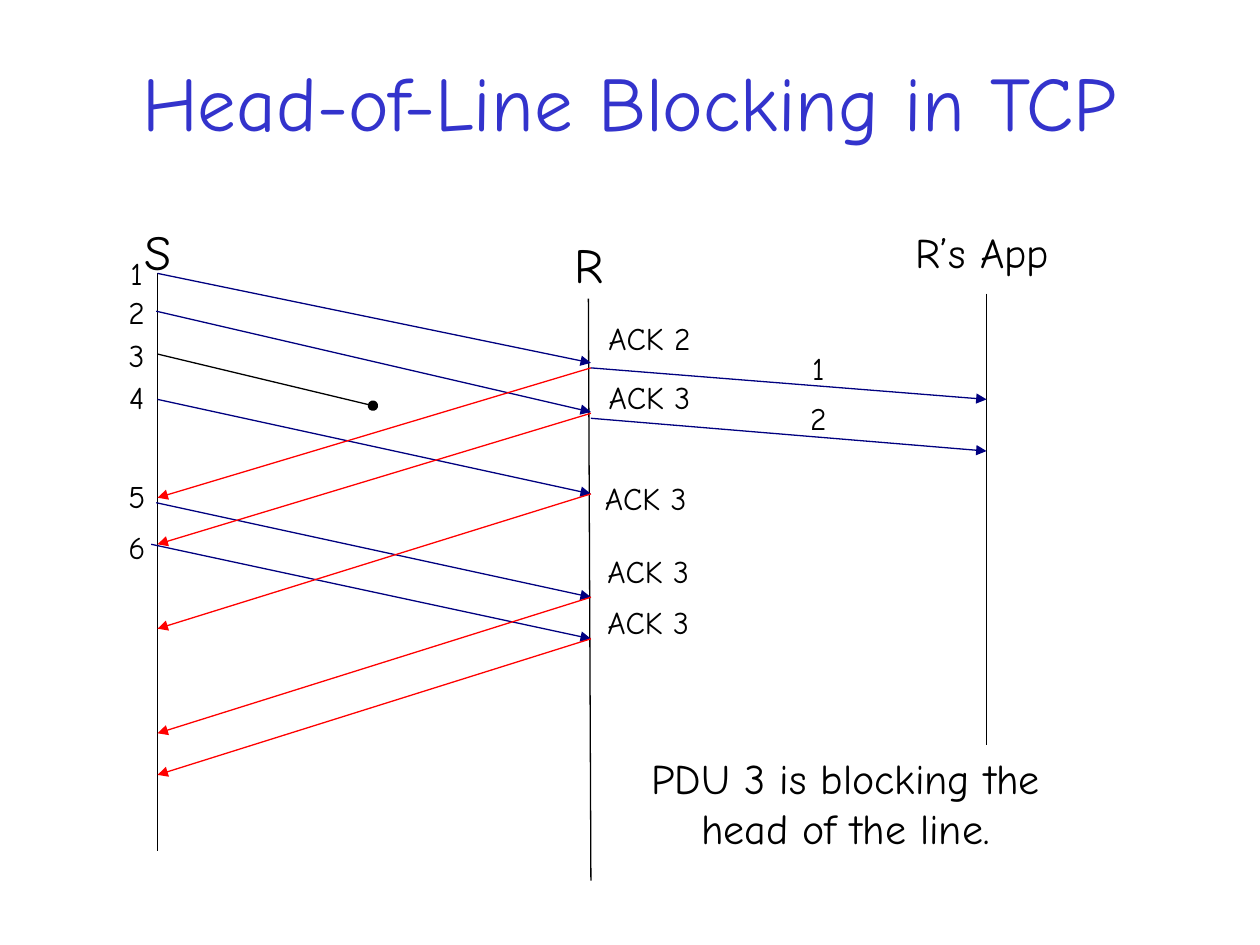
from collections import namedtuple
from dataclasses import dataclass

from lxml import etree
from pptx import Presentation
from pptx.dml.color import RGBColor as RGB
from pptx.enum.shapes import MSO_CONNECTOR as CONN
from pptx.enum.text import MSO_ANCHOR as ANCHOR, MSO_AUTO_SIZE as AUTO, PP_ALIGN as ALIGN
from pptx.oxml.ns import qn
from pptx.util import Inches, Pt

Box = namedtuple("Box", "left top width height")
Segment = namedtuple("Segment", "number label_y start_x start_y end_y")
Ack = namedtuple("Ack", "text label_x label_y start_y end_y")


@dataclass(frozen=True)
class Theme:
    """Colours, font and sizes of the slide."""
    font: str = "Comic Neue"
    title: RGB = RGB(0x33, 0x33, 0xCC)
    ink: RGB = RGB(0, 0, 0)
    data: RGB = RGB(0, 0, 0x80)
    ack: RGB = RGB(0xFF, 0, 0)
    title_size: int = 44
    host_size: int = 28
    body_size: int = 24
    label_size: int = 18
    line_width: float = 0.75


THEME = Theme()

SEGMENTS = [
    Segment("1", -0.2, 0, 0, 0.71),
    Segment("2", 0.11, -0.01, 0.3, 1.1),
    Segment("4", 0.78, 0, 1, 1.75),
    Segment("5", 1.57, -0.01, 1.82, 2.57),
    Segment("6", 1.97, -0.05, 2.15, 2.9),
]
ACKS = [
    Ack("ACK 2", 0.04, 0.31, 0.75, 1.78),
    Ack("ACK 3", 0.04, 0.78, 1.11, 2.15),
    Ack("ACK 3", 0.01, 1.58, 1.75, 2.82),
    Ack("ACK 3", 0.03, 2.16, 2.57, 3.65),
    Ack("ACK 3", 0.03, 2.57, 2.9, 3.98),
]
DELIVERIES = [("1", 0.39, 0.59, 0.84), ("2", 0.79, 0.99, 1.25)]


def add_text(slide, box, text, size, color=THEME.ink, align=ALIGN.CENTER,
             wrap=True, anchor=ANCHOR.TOP, auto=AUTO.SHAPE_TO_FIT_TEXT):
    """Add a one-run text box."""
    tf = slide.shapes.add_textbox(*map(Inches, box)).text_frame
    tf.word_wrap, tf.auto_size, tf.vertical_anchor = wrap, auto, anchor
    p = tf.paragraphs[0]
    p.alignment = align
    r = p.add_run()
    r.text = text
    r.font.name, r.font.size = THEME.font, Pt(size)
    r.font.color.rgb = color


def add_label(slide, left, top, text, width=0.33):
    """Add a small unwrapped label."""
    add_text(slide, Box(left, top, width, 0.4), text, THEME.label_size, wrap=False)


def add_line(slide, box, start, end, color=THEME.ink, tip=None):
    """Draw a line between two points given relative to the box."""
    points = [Inches(v) for x, y in (start, end) for v in (box.left + x, box.top + y)]
    s = slide.shapes.add_connector(CONN.STRAIGHT, *points)
    s.line.color.rgb, s.line.width = color, Pt(THEME.line_width)
    if tip:
        etree.SubElement(s.line._get_or_add_ln(), qn("a:tailEnd"), type=tip)
    etree.SubElement(s._element.spPr, qn("a:effectLst"))


def add_title(slide, box):
    """Add the slide title."""
    add_text(slide, box, "Head-of-Line Blocking in TCP", THEME.title_size,
             THEME.title, anchor=ANCHOR.MIDDLE, auto=AUTO.NONE)


def add_exchange(slide, box):
    """Draw the segments and ACKs between sender and receiver."""
    right, number_x = box.width, box.left - 0.33
    add_line(slide, box, (0, 0), (0, box.height - 0.24))
    add_line(slide, box, (right - 0.02, 0.2), (right, box.height))
    add_text(slide, Box(box.left - 0.21, box.top - 0.46, 0.42, 0.57), "S", THEME.host_size)
    add_text(slide, Box(box.left + right - 0.23, box.top - 0.36, 0.43, 0.57), "R",
             THEME.host_size, wrap=False)
    for seg in SEGMENTS:
        add_label(slide, number_x, box.top + seg.label_y, seg.number)
        add_line(slide, box, (seg.start_x, seg.start_y), (right, seg.end_y),
                 THEME.data, "triangle")
    add_label(slide, number_x, box.top + 0.45, "3")
    add_line(slide, box, (0, 0.64), (1.71, 1.05), tip="oval")
    for ack in ACKS:
        add_label(slide, box.left + right + ack.label_x, box.top + ack.label_y, ack.text, 0.85)
        add_line(slide, box, (right, ack.start_y), (0, ack.end_y), THEME.ack, "triangle")


def add_delivery(slide, box):
    """Draw what the receiver hands to its application."""
    right = box.width
    add_line(slide, box, (right, 0), (right, box.height))
    add_text(slide, Box(box.left + right - 0.66, box.top - 0.58, 1.58, 0.5), "R’s App",
             THEME.body_size, align=ALIGN.LEFT)
    for number, label_y, start_y, end_y in DELIVERIES:
        add_line(slide, box, (0, start_y), (right, end_y), THEME.data, "triangle")
        add_label(slide, box.left + 1.64, box.top + label_y, number)


def add_note(slide, box):
    """Add the conclusion under the diagram."""
    add_text(slide, box, "PDU 3 is blocking the head of the line.", THEME.body_size)


def main():
    """Build and save the slide."""
    prs = Presentation()
    prs.slide_width, prs.slide_height = Inches(10), Inches(7.5)
    slide = prs.slides.add_slide(prs.slide_layouts[6])
    add_title(slide, Box(0.75, 0.17, 8.5, 1.25))
    add_exchange(slide, Box(1.25, 2.17, 3.44, 4.82))
    add_delivery(slide, Box(4.69, 2.33, 3.14, 3.58))
    add_note(slide, Box(5, 5.92, 3.42, 0.9))
    prs.save("out.pptx")


if __name__ == "__main__":
    main()
